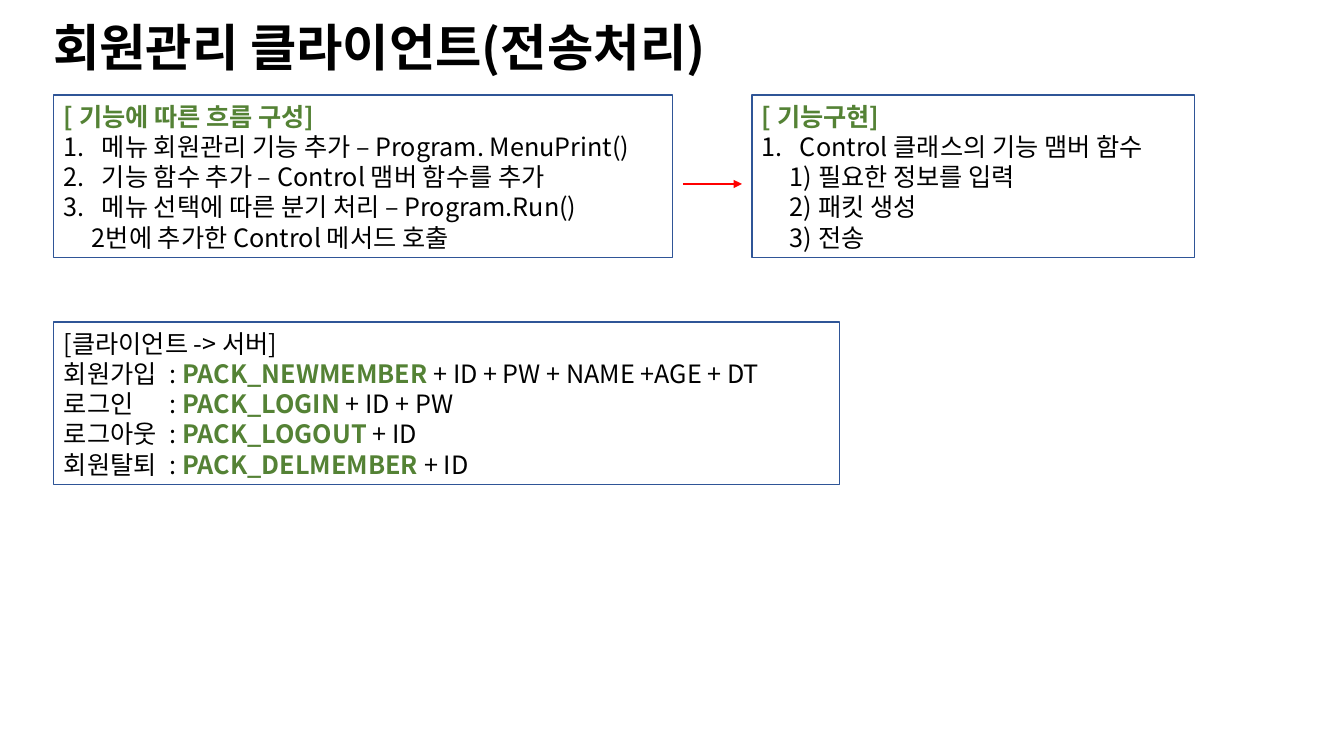
from pptx import Presentation
from pptx.dml.color import RGBColor
from pptx.enum.shapes import MSO_CONNECTOR as Connector, MSO_SHAPE as Shape
from pptx.enum.text import MSO_ANCHOR as Anchor, MSO_AUTO_SIZE as AutoSize, PP_ALIGN as Align
from pptx.oxml.ns import qn
from pptx.util import Pt
from lxml.etree import SubElement

FONT = "Noto Sans CJK KR"
BLACK, GREEN, BLUE, RED = "000000", "548235", "2F5597", "FF0000"
SCALE = 914400 / 100.8
NUMBER_INDENT, STEP_INDENT, COLON_TAB = 38, 28, 106

TITLE = "회원관리 클라이언트(전송처리)"
TITLE_PLACE = (43, 10, 736, 72)

PACKETS = [
    ("회원가입", "PACK_NEWMEMBER", "ID + PW + NAME +AGE + DT"),
    ("로그인", "PACK_LOGIN", "ID + PW"),
    ("로그아웃", "PACK_LOGOUT", "ID"),
    ("회원탈퇴", "PACK_DELMEMBER", "ID"),
]

BOXES = [
    ((54, 95, 619, 163), [
        ("heading", "[ 기능에 따른 흐름 구성]"),
        ("number", "메뉴 회원관리 기능 추가 – Program. MenuPrint()"),
        ("number", "기능 함수 추가 – Control 맴버 함수를 추가"),
        ("number", "메뉴 선택에 따른 분기 처리 – Program.Run()"),
        ("step", "2번에 추가한 Control 메서드 호출"),
    ]),
    ((752, 95, 443, 163), [
        ("heading", "[ 기능구현]"),
        ("number", "Control 클래스의 기능 맴버 함수"),
        ("step", "1) 필요한 정보를 입력"),
        ("step", "2) 패킷 생성"),
        ("step", "3) 전송"),
    ]),
    ((54, 322, 786, 163), [("plain", "[클라이언트 -> 서버]")]
     + [("packet", packet) for packet in PACKETS]),
]
ARROW = (683, 184, 742, 184)


def px(value):
    return round(value * SCALE)


def color(value):
    return RGBColor.from_string(value)


def apply(target, values):
    for name, value in values.items():
        setattr(target, name, value)


def add_run(paragraph, text, size, ink=BLACK, bold=False):
    run = paragraph.add_run()
    run.text = text
    apply(run.font, {"name": FONT, "size": Pt(size), "bold": bold})
    run.font.color.rgb = color(ink)
    SubElement(run.font._element, qn("a:ea"), typeface=FONT)


def format_frame(frame):
    apply(frame, {"word_wrap": True, "auto_size": AutoSize.NONE,
                  "vertical_anchor": Anchor.MIDDLE})


def write_line(paragraph, kind, content):
    paragraph.alignment = Align.LEFT
    properties = paragraph._p.get_or_add_pPr()
    if kind == "number":
        properties.set("marL", str(px(NUMBER_INDENT)))
        properties.set("indent", str(-px(NUMBER_INDENT)))
        SubElement(properties, qn("a:buFont"), typeface="+mj-lt")
        SubElement(properties, qn("a:buAutoNum"), type="arabicPeriod")
    elif kind == "step":
        properties.set("marL", str(px(STEP_INDENT)))
    elif kind == "packet":
        tabs = SubElement(properties, qn("a:tabLst"))
        SubElement(tabs, qn("a:tab"), pos=str(px(COLON_TAB)), algn="l")
        label, packet, fields = content
        add_run(paragraph, f"{label}\t: ", 18)
        add_run(paragraph, f"{packet} ", 18, GREEN, True)
        add_run(paragraph, f"+ {fields}", 18)
        return
    heading = kind == "heading"
    add_run(paragraph, content, 18, GREEN if heading else BLACK, heading)


def add_box(slide, place, lines):
    box = slide.shapes.add_shape(Shape.RECTANGLE, *map(px, place))
    box.shadow.inherit = False
    box.fill.background()
    box.line.color.rgb = color(BLUE)
    box.line.width = Pt(0.75)
    frame = box.text_frame
    format_frame(frame)
    for index, (kind, content) in enumerate(lines):
        paragraph = frame.add_paragraph() if index else frame.paragraphs[0]
        write_line(paragraph, kind, content)


def add_title(slide):
    title = slide.shapes.title
    apply(title, dict(zip(("left", "top", "width", "height"), map(px, TITLE_PLACE))))
    format_frame(title.text_frame)
    paragraph = title.text_frame.paragraphs[0]
    apply(paragraph, {"alignment": Align.LEFT, "line_spacing": 1.0})
    add_run(paragraph, TITLE, 36, BLACK, True)


def add_arrow(slide):
    arrow = slide.shapes.add_connector(Connector.STRAIGHT, *map(px, ARROW))
    arrow.line.color.rgb = color(RED)
    arrow.line.width = Pt(2)
    SubElement(arrow.line._get_or_add_ln(), qn("a:tailEnd"), type="triangle")
    SubElement(arrow._element.spPr, qn("a:effectLst"))


presentation = Presentation()
apply(presentation, {"slide_width": px(1344), "slide_height": px(756)})
slide = presentation.slides.add_slide(presentation.slide_layouts[5])
add_title(slide)
for place, lines in BOXES:
    add_box(slide, place, lines)
add_arrow(slide)
presentation.save("out.pptx")
